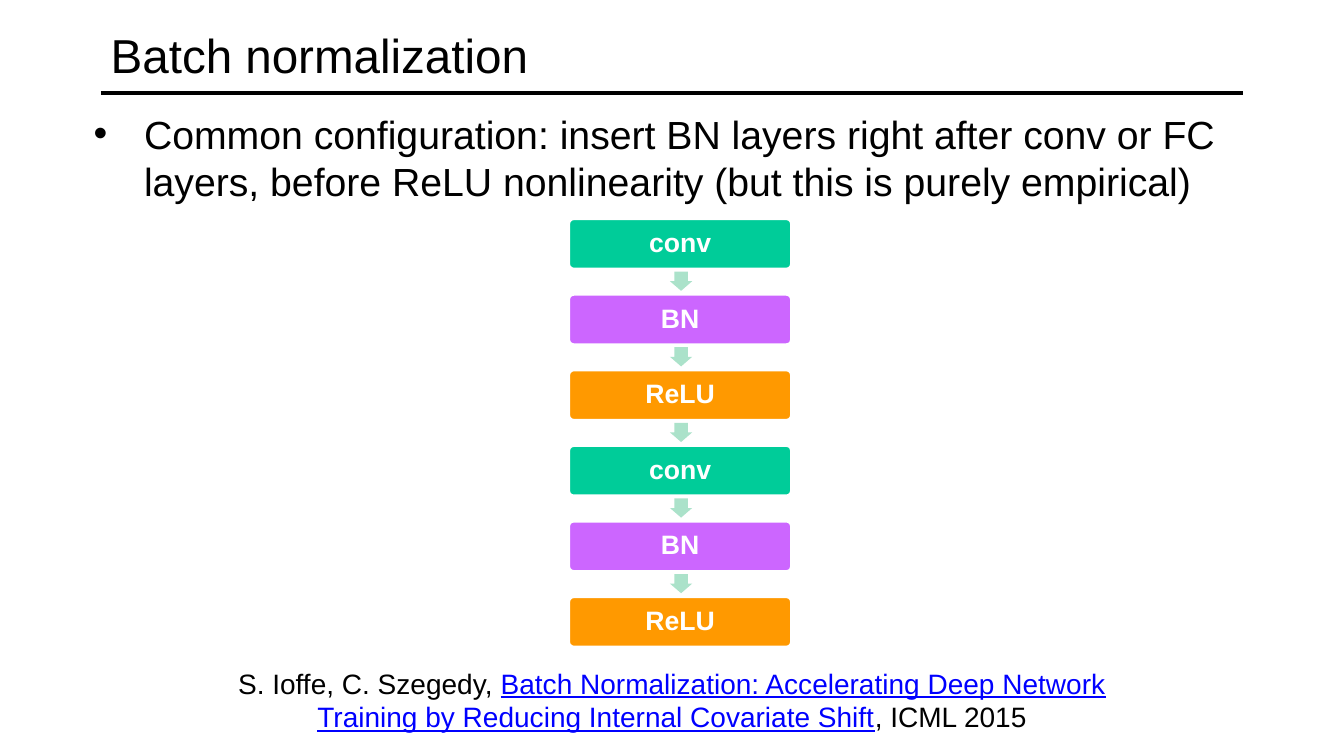
import pptx
import pptx.dml.color
import pptx.enum.shapes
import pptx.enum.text
import pptx.oxml.ns
import pptx.util
from lxml import etree
from pptx.dml.color import RGBColor
from pptx.enum.shapes import MSO_CONNECTOR, MSO_SHAPE
from pptx.enum.text import MSO_ANCHOR, PP_ALIGN
from pptx.util import Inches

BLACK = RGBColor(0x00, 0x00, 0x00)
WHITE = RGBColor(0xFF, 0xFF, 0xFF)
LINK_BLUE = RGBColor(0x00, 0x00, 0xFF)
CONV_GREEN = RGBColor(0x00, 0xCC, 0x99)
BN_PURPLE = RGBColor(0xCC, 0x66, 0xFF)
RELU_ORANGE = RGBColor(0xFF, 0x99, 0x00)
ARROW_GREEN = RGBColor(0xAB, 0xE2, 0xCA)

FONT_NAME = "Arial"
LAYERS = [("conv", CONV_GREEN), ("BN", BN_PURPLE), ("ReLU", RELU_ORANGE)] * 2
LAYER_LEFT, LAYER_TOP, LAYER_WIDTH, LAYER_HEIGHT = 5.64, 2.17, 2.21, 0.5
LAYER_STEP = 0.75
ARROW_LEFT, ARROW_OFFSET, ARROW_WIDTH, ARROW_HEIGHT = 6.66, 0.51, 0.19, 0.22


def write_text(shape, runs, size, bold=False, align=PP_ALIGN.LEFT,
               anchor=MSO_ANCHOR.TOP, line_spacing=None, bullet=None):
    """Write one paragraph of (text, colour, underline) runs into a shape."""
    frame = shape.text_frame
    frame.word_wrap = True
    frame.vertical_anchor = anchor
    paragraph = frame.paragraphs[0]
    paragraph.alignment = align
    paragraph.line_spacing = line_spacing
    if bullet:
        add_bullet(paragraph, bullet)
    for text, color, underline in runs:
        run = paragraph.add_run()
        run.text = text
        run.font.name = FONT_NAME
        run.font.size = pptx.util.Pt(size)
        run.font.bold = bold
        run.font.underline = underline
        run.font.color.rgb = color


def add_bullet(paragraph, character):
    """Give a paragraph a bullet with a half-inch hanging indent."""
    properties = paragraph._p.get_or_add_pPr()
    properties.set("marL", str(Inches(0.5)))
    properties.set("indent", str(-Inches(0.5)))
    font = etree.SubElement(properties, pptx.oxml.ns.qn("a:buFont"))
    font.set("typeface", FONT_NAME)
    bullet = etree.SubElement(properties, pptx.oxml.ns.qn("a:buChar"))
    bullet.set("char", character)


def add_text(slide, left, top, width, height, runs, **text_format):
    box = slide.shapes.add_textbox(Inches(left), Inches(top), Inches(width), Inches(height))
    write_text(box, runs, **text_format)


def add_rule(slide, left, right, y):
    rule = slide.shapes.add_connector(
        MSO_CONNECTOR.STRAIGHT, Inches(left), Inches(y), Inches(right), Inches(y))
    rule.line.color.rgb = BLACK
    rule.line.width = pptx.util.Pt(3)
    etree.SubElement(rule._element.spPr, pptx.oxml.ns.qn("a:effectLst"))


def add_filled_shape(slide, kind, left, top, width, height, color, adjustments):
    shape = slide.shapes.add_shape(
        kind, Inches(left), Inches(top), Inches(width), Inches(height))
    shape.shadow.inherit = False
    shape.fill.solid()
    shape.fill.fore_color.rgb = color
    for index, value in enumerate(adjustments):
        shape.adjustments[index] = value
    return shape


def add_layer(slide, top, name, color):
    layer = add_filled_shape(slide, MSO_SHAPE.ROUNDED_RECTANGLE, LAYER_LEFT, top,
                             LAYER_WIDTH, LAYER_HEIGHT, color, [0.1])
    layer.line.color.rgb = WHITE
    layer.line.width = pptx.util.Pt(2)
    write_text(layer, [(name, WHITE, False)], size=19, bold=True,
               align=PP_ALIGN.CENTER, anchor=MSO_ANCHOR.MIDDLE, line_spacing=0.9)


def add_down_arrow(slide, top):
    arrow = add_filled_shape(slide, MSO_SHAPE.RIGHT_ARROW, ARROW_LEFT, top,
                             ARROW_WIDTH, ARROW_HEIGHT, ARROW_GREEN, [0.6, 0.5])
    arrow.rotation = 90
    arrow.line.fill.background()


def main():
    presentation = pptx.Presentation()
    presentation.slide_width = Inches(13.33)
    presentation.slide_height = Inches(7.5)
    slide = presentation.slides.add_slide(presentation.slide_layouts[6])

    # Title and rule
    add_rule(slide, 1, 12.33, 0.92)
    add_text(slide, 1, 0.08, 11.33, 0.92, [("Batch normalization", BLACK, False)],
             size=34, anchor=MSO_ANCHOR.MIDDLE)

    # Bullet
    add_text(slide, 0.83, 1.04, 11.58, 1.05,
             [("Common configuration: insert BN layers right after conv or FC layers, "
               "before ReLU nonlinearity (but this is purely empirical)", BLACK, False)],
             size=28, bullet="•")

    # Citation
    add_text(slide, 1.83, 6.56, 9.67, 0.77,
             [("S. Ioffe, C. Szegedy, ", BLACK, False),
              ("Batch Normalization: Accelerating Deep Network Training by "
               "Reducing Internal Covariate Shift", LINK_BLUE, True),
              (", ICML 2015", BLACK, False)],
             size=20, align=PP_ALIGN.CENTER)

    # Layer stack, with an arrow between neighbours
    for index, (name, color) in enumerate(LAYERS):
        top = LAYER_TOP + index * LAYER_STEP
        add_layer(slide, top, name, color)
        if index < len(LAYERS) - 1:
            add_down_arrow(slide, top + ARROW_OFFSET)

    presentation.save("out.pptx")


if __name__ == "__main__":
    main()
